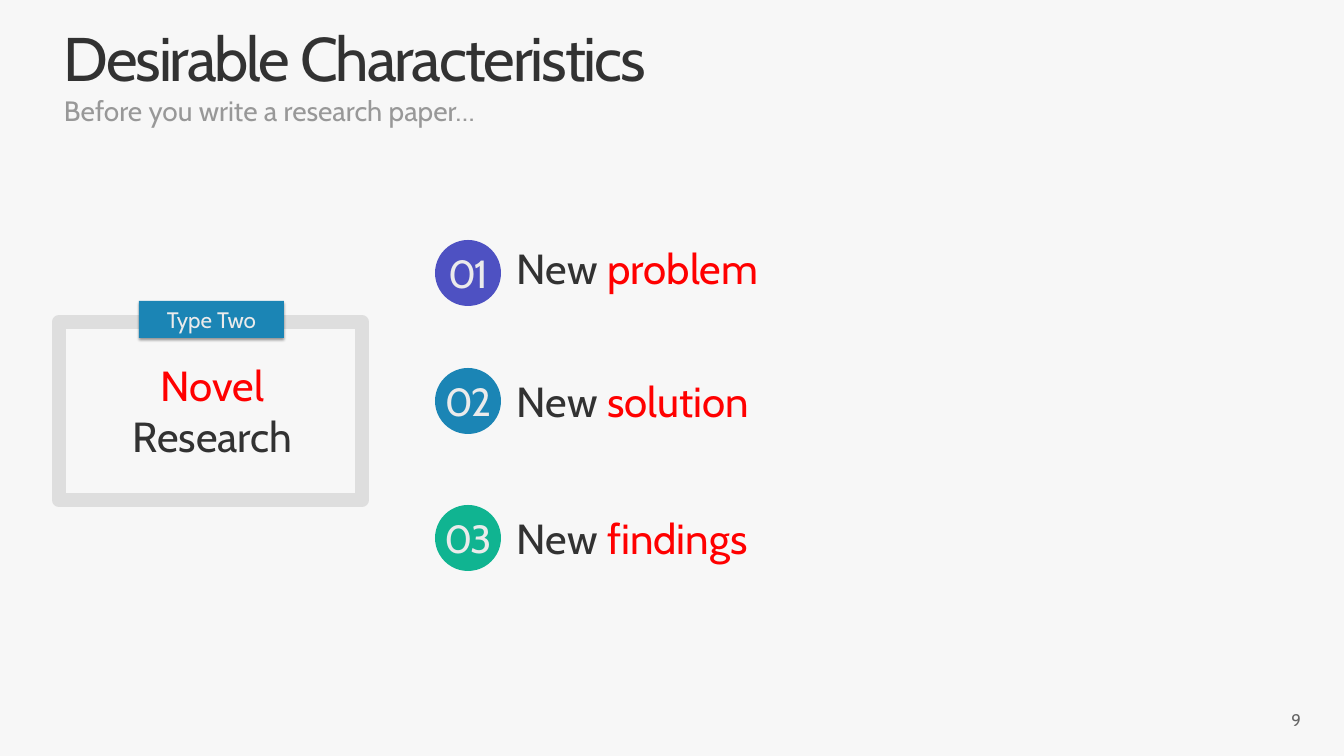
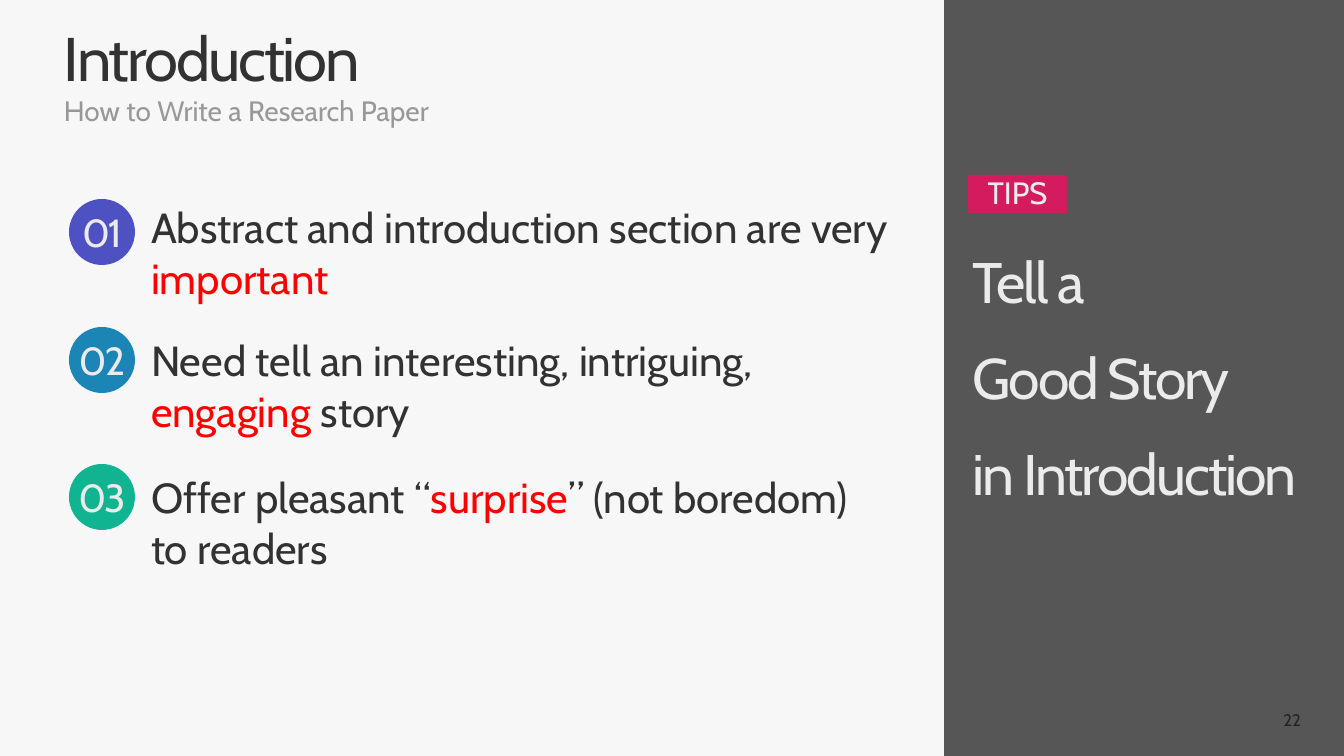
import lxml.etree
import pptx
import pptx.dml.color
import pptx.enum.shapes
import pptx.enum.text
import pptx.oxml.ns
import pptx.util

RGB = pptx.dml.color.RGBColor
SHAPE = pptx.enum.shapes.MSO_SHAPE
ALIGN = pptx.enum.text.PP_ALIGN
ANCHOR = pptx.enum.text.MSO_ANCHOR
qn = pptx.oxml.ns.qn

PAPER = RGB(0xF7, 0xF7, 0xF7)
INK = RGB(0x32, 0x32, 0x32)
GREY = RGB(0x98, 0x98, 0x98)
NUMBER = RGB(0x65, 0x65, 0x65)
FRAME = RGB(0xDE, 0xDE, 0xDE)
LIGHT = RGB(0xEB, 0xEB, 0xEB)
RED = RGB(0xFF, 0x00, 0x00)
BLACK = RGB(0x00, 0x00, 0x00)
VIOLET = RGB(0x4E, 0x51, 0xC2)
BLUE = RGB(0x1B, 0x85, 0xB5)
GREEN = RGB(0x10, 0xB4, 0x91)
PINK = RGB(0xD3, 0x1B, 0x5D)

FONT = "Cabin"
EMU_PER_PX = 914400 / 50.4
WIDTH, HEIGHT = 1344, 756
BADGE = 66
TEXT_INDENT = 77
# Colour, badge offset and text offset of each numbered item
ITEM_ROWS = [(VIOLET, 0, 0), (BLUE, 128, 133), (GREEN, 265, 270)]


def px(n):
    return round(n * EMU_PER_PX)


def write(sp, text, size, color, align=ALIGN.LEFT, anchor=ANCHOR.TOP,
          spacing=0, line=1.0, insets=(5, 3, 5, 3), wrap=True):
    """Fill a shape with text; words between asterisks turn red."""
    tf = sp.text_frame
    tf.word_wrap = wrap
    tf.vertical_anchor = anchor
    tf.margin_left, tf.margin_top, tf.margin_right, tf.margin_bottom = map(px, insets)
    tf.text = text.replace("*", "")
    for p, source in zip(tf.paragraphs, text.split("\n")):
        p.alignment = align
        p.line_spacing = line
        p.text = ""
        for i, part in enumerate(source.split("*")):
            if not part:
                continue
            r = p.add_run()
            r.text = part
            r.font.name = FONT
            r.font.size = pptx.util.Pt(size)
            r.font.color.rgb = RED if i % 2 else color
            if spacing:
                r._r.get_or_add_rPr().set("spc", str(spacing * 100))


def add_text(shapes, box, text, size, color, **style):
    sp = shapes.add_textbox(*map(px, box))
    write(sp, text, size, color, **style)


def add_block(shapes, kind, box, fill):
    sp = shapes.add_shape(kind, *map(px, box))
    sp.shadow.inherit = False
    sp.fill.solid()
    sp.fill.fore_color.rgb = fill
    sp.line.fill.background()
    return sp


def set_alpha(color_element, percent):
    alpha = lxml.etree.SubElement(color_element, qn("a:alpha"))
    alpha.set("val", str(percent * 1000))


def drop_shadow(sp):
    effects = sp._element.spPr.find(qn("a:effectLst"))
    shadow = lxml.etree.SubElement(effects, qn("a:outerShdw"))
    shadow.set("blurRad", str(pptx.util.Pt(4)))
    shadow.set("dist", str(pptx.util.Pt(3)))
    shadow.set("dir", str(90 * 60000))
    shadow.set("rotWithShape", "0")
    color = lxml.etree.SubElement(shadow, qn("a:srgbClr"))
    color.set("val", str(BLACK))
    set_alpha(color, 40)


def new_slide(prs, title, subtitle, number):
    shapes = prs.slides.add_slide(prs.slide_layouts[6]).shapes
    add_text(shapes, (59, 23, 1227, 75), title, 88, INK,
             anchor=ANCHOR.BOTTOM, spacing=-3, line=0.9)
    add_text(shapes, (59, 94, 1227, 31), subtitle, 40, GREY, line=0.9)
    add_text(shapes, (1004, 700, 302, 40), str(number), 24, NUMBER,
             align=ALIGN.RIGHT, anchor=ANCHOR.MIDDLE)
    return shapes


def numbered_list(shapes, x, y, width, text_height, items):
    for i, (text, (color, badge_dy, text_dy)) in enumerate(zip(items, ITEM_ROWS), 1):
        sp = add_block(shapes, SHAPE.OVAL, (x, y + badge_dy, BADGE, BADGE), color)
        write(sp, f"{i:02}", 56, LIGHT, align=ALIGN.CENTER, anchor=ANCHOR.MIDDLE,
              spacing=-3, insets=(0, 0, 0, 0), wrap=False)
        add_text(shapes, (x + TEXT_INDENT, y + text_dy, width - TEXT_INDENT, text_height),
                 text, 60, INK)


def labelled_frame(shapes, x, y, w, h, label, text):
    group = shapes.add_group_shape().shapes
    frame = group.add_shape(SHAPE.RECTANGLE, *map(px, (x, y, w, h)))
    frame.shadow.inherit = False
    frame.fill.background()
    frame.line.color.rgb = FRAME
    frame.line.width = pptx.util.Pt(20)
    add_text(group, (x + 19, y + 35, w - 34, 107), text, 60, INK, align=ALIGN.CENTER)
    tag = add_block(group, SHAPE.RECTANGLE, (x + 80, y - 21, 145, 37), BLUE)
    drop_shadow(tag)
    write(tag, label, 32, LIGHT, align=ALIGN.CENTER, insets=(10, 5, 10, 5))


def tips_panel(shapes, x, y, w, h, label, text):
    panel = add_block(shapes, SHAPE.RECTANGLE, (x, y, w, h), BLACK)
    set_alpha(panel._element.spPr.find(qn("a:solidFill"))[0], 65)
    add_text(shapes, (x + 24, y + 209, w - 47, 301), text, 81.6, LIGHT,
             anchor=ANCHOR.BOTTOM, spacing=-3, line=1.4)
    tag = add_block(shapes, SHAPE.RECTANGLE, (x + 24, y + 175, 99, 38), PINK)
    write(tag, label, 44, LIGHT, align=ALIGN.CENTER, anchor=ANCHOR.MIDDLE,
          line=0.8, insets=(5, 6, 5, 3))


def characteristics_slide(prs):
    shapes = new_slide(prs, "Desirable Characteristics",
                       "Before you write a research paper…", 9)
    labelled_frame(shapes, 59, 322, 303, 178, "Type Two", "*Novel *Research")
    numbered_list(shapes, 435, 240, 840, 56,
                  ["New *problem*", "New *solution*", "New *findings*"])


def introduction_slide(prs):
    shapes = new_slide(prs, "Introduction", "How to Write a Research Paper", 22)
    numbered_list(shapes, 69, 199, 830, 107, [
        "Abstract and introduction section are very *important*",
        "Need tell an interesting, intriguing, *engaging* story",
        "Offer pleasant “*surprise*” (not boredom) to readers",
    ])
    tips_panel(shapes, 944, 0, WIDTH - 944, HEIGHT, "TIPS",
               "Tell a\nGood Story\nin Introduction")


def main():
    prs = pptx.Presentation()
    prs.slide_width, prs.slide_height = px(WIDTH), px(HEIGHT)
    background = prs.slide_master.background.fill
    background.solid()
    background.fore_color.rgb = PAPER
    characteristics_slide(prs)
    introduction_slide(prs)
    prs.save("out.pptx")


if __name__ == "__main__":
    main()
